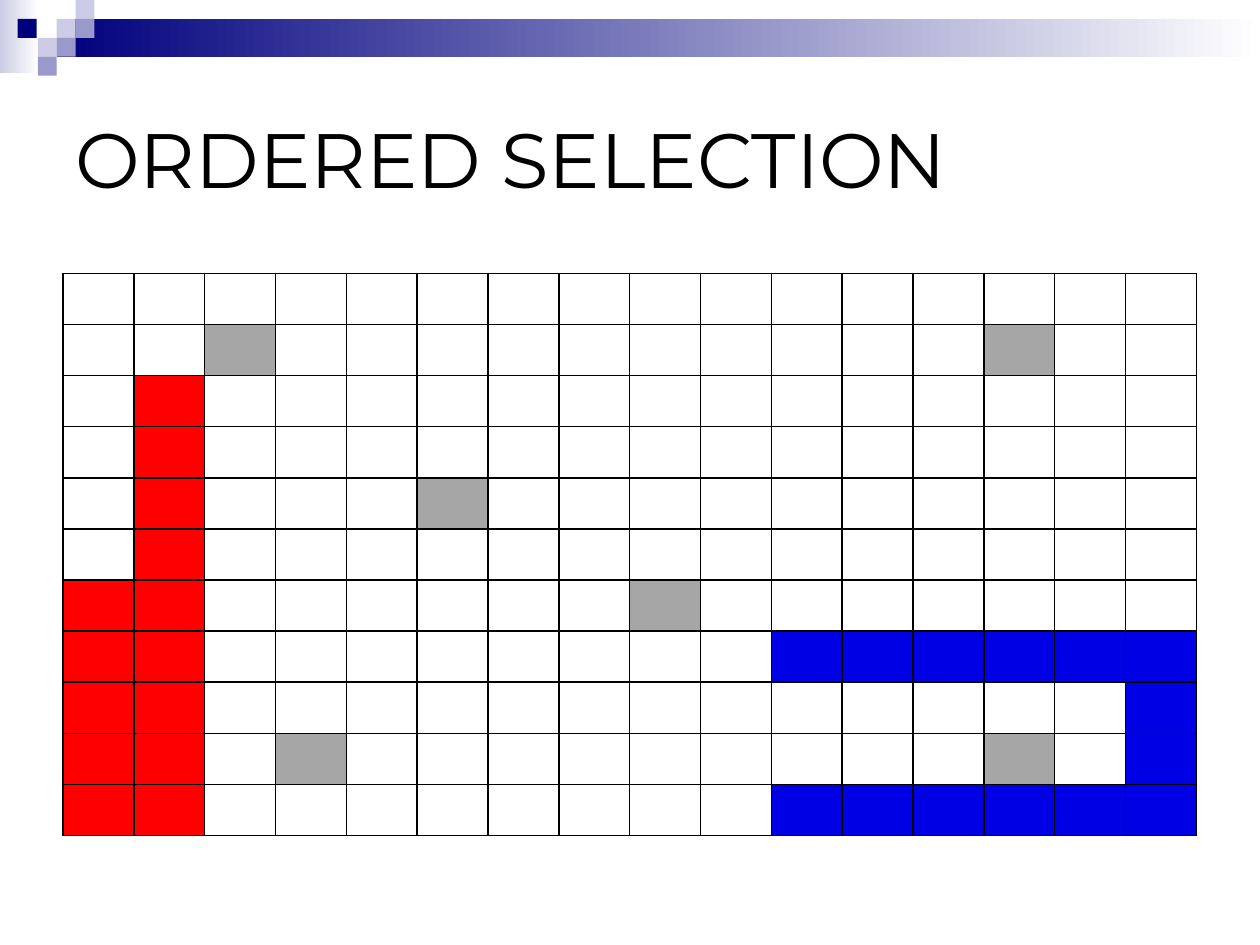
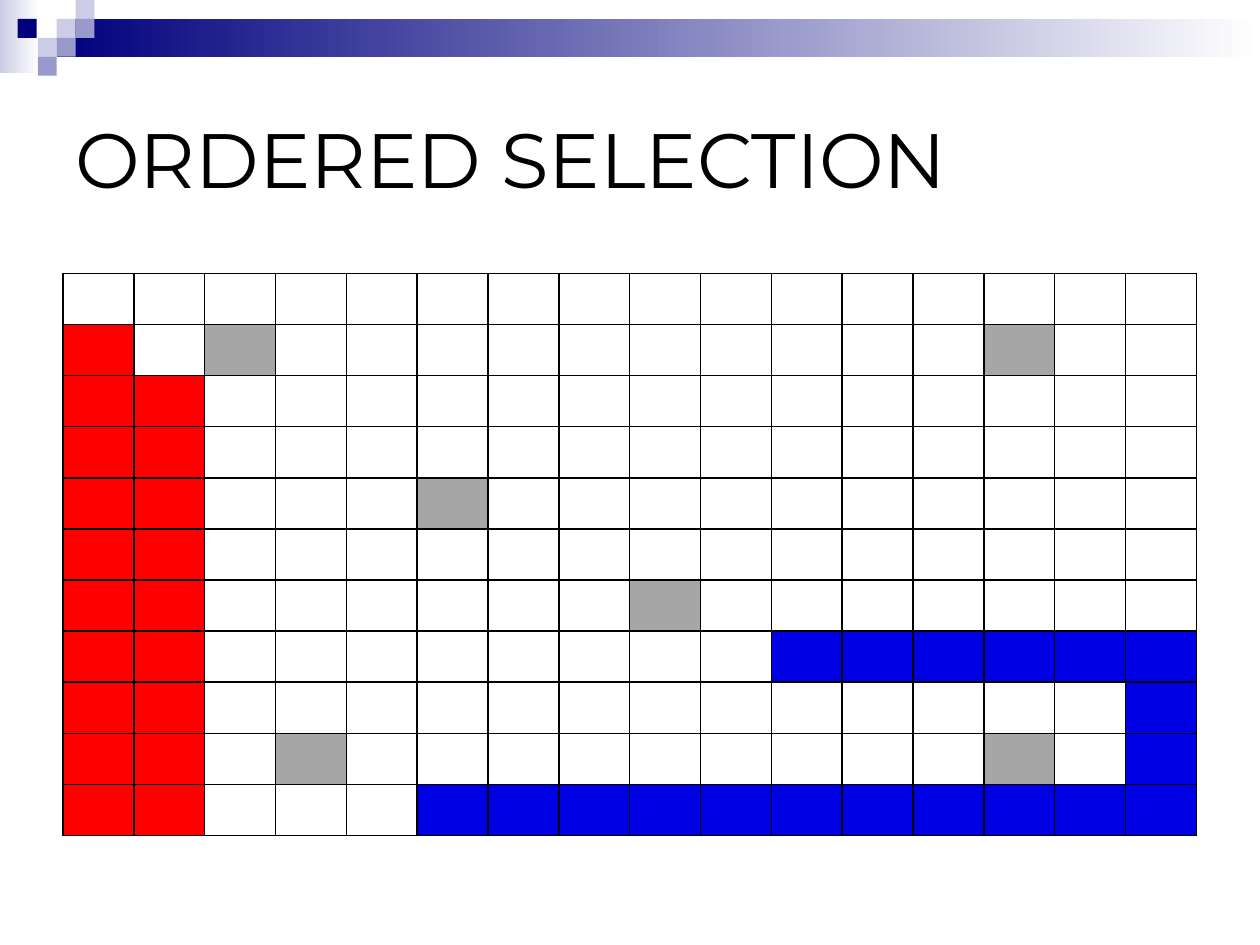
from typing import NamedTuple

from lxml import etree
from pptx import Presentation
from pptx.dml.color import RGBColor
from pptx.enum import shapes, text
from pptx.oxml import ns
from pptx.util import Pt

NAVY = RGBColor(0x00, 0x00, 0x7D)
LAVENDER = RGBColor(0xCC, 0xCC, 0xE6)
PERIWINKLE = RGBColor(0x99, 0x99, 0xCC)
WHITE = RGBColor(0xFF, 0xFF, 0xFF)
BLACK = RGBColor(0x00, 0x00, 0x00)
GREY = RGBColor(0xA6, 0xA6, 0xA6)
RED = RGBColor(0xFF, 0x00, 0x00)
BLUE = RGBColor(0x00, 0x00, 0xE4)

FONT = "Montserrat"
TITLE = "ORDERED SELECTION"
MARGIN = 36
CONTENT_WIDTH = 648
GRID_TOP = 156.24
COLUMN_WIDTH = 40.5
ROW_HEIGHT = 29.2
SQUARE = 10.8


class Block(NamedTuple):
    left: float
    top: float
    width: float
    height: float
    color: RGBColor
    fades: bool = False


def square(left: float, top: float, color: RGBColor) -> Block:
    return Block(left, top, SQUARE, SQUARE, color)


BAND = [
    Block(0, 0, 22.3, 41.8, LAVENDER, fades=True),
    Block(3 * SQUARE, SQUARE, 687.6, 21.6, NAVY, fades=True),
    square(3 * SQUARE, SQUARE, LAVENDER),
    square(4 * SQUARE, 0, LAVENDER),
    square(4 * SQUARE, SQUARE, PERIWINKLE),
    square(2 * SQUARE, 2 * SQUARE, LAVENDER),
    square(10.1, SQUARE, NAVY),
    square(3 * SQUARE, 2 * SQUARE, PERIWINKLE),
    square(2 * SQUARE, 3 * SQUARE, PERIWINKLE),
]

CELL_COLORS = {".": WHITE, "g": GREY, "r": RED, "b": BLUE}
GRIDS = [
    [
        "................",
        "..g..........g..",
        ".r..............",
        ".r..............",
        ".r...g..........",
        ".r..............",
        "rr......g.......",
        "rr........bbbbbb",
        "rr.............b",
        "rr.g.........g.b",
        "rr........bbbbbb",
    ],
    [
        "................",
        "r.g..........g..",
        "rr..............",
        "rr..............",
        "rr...g..........",
        "rr..............",
        "rr......g.......",
        "rr........bbbbbb",
        "rr.............b",
        "rr.g.........g.b",
        "rr...bbbbbbbbbbb",
    ],
]


def draw_band(page) -> None:
    group = page.shapes.add_group_shape()
    for block in BAND:
        shape = group.shapes.add_shape(
            shapes.MSO_SHAPE.RECTANGLE,
            Pt(block.left), Pt(block.top), Pt(block.width), Pt(block.height),
        )
        shape.shadow.inherit = False
        shape.line.fill.background()
        if block.fades:
            shape.fill.gradient()
            shape.fill.gradient_angle = 0
            stops = shape.fill.gradient_stops
            for stop, color, position in zip(stops, (block.color, WHITE), (0, 1)):
                stop.color.rgb = color
                stop.position = position
        else:
            shape.fill.solid()
            shape.fill.fore_color.rgb = block.color


def draw_title(page) -> None:
    box = page.shapes.add_textbox(Pt(MARGIN), Pt(36), Pt(CONTENT_WIDTH), Pt(108))
    frame = box.text_frame
    frame.word_wrap = True
    frame.vertical_anchor = text.MSO_ANCHOR.MIDDLE
    frame.text = TITLE
    font = frame.paragraphs[0].runs[0].font
    font.name = FONT
    font.size = Pt(44)
    font.color.rgb = BLACK


def add_borders(cell) -> None:
    """Outline the cell; call before filling it, as borders come first in its XML."""
    properties = cell._tc.get_or_add_tcPr()
    for side in ("lnL", "lnR", "lnT", "lnB"):
        line = etree.SubElement(properties, ns.qn(f"a:{side}"), w=str(Pt(1)))
        fill = etree.SubElement(line, ns.qn("a:solidFill"))
        etree.SubElement(fill, ns.qn("a:srgbClr"), val=str(BLACK))


def draw_grid(page, rows: list[str]) -> None:
    frame = page.shapes.add_table(
        len(rows), len(rows[0]), Pt(MARGIN), Pt(GRID_TOP),
        Pt(CONTENT_WIDTH), Pt(ROW_HEIGHT * len(rows)),
    )
    table = frame.table
    table.first_row = table.horz_banding = False
    for column in table.columns:
        column.width = Pt(COLUMN_WIDTH)
    for row_index, codes in enumerate(rows):
        table.rows[row_index].height = Pt(ROW_HEIGHT)
        for column_index, code in enumerate(codes):
            cell = table.cell(row_index, column_index)
            cell.margin_top = cell.margin_bottom = 0
            add_borders(cell)
            cell.fill.solid()
            cell.fill.fore_color.rgb = CELL_COLORS[code]


def main() -> None:
    deck = Presentation()
    deck.slide_width, deck.slide_height = Pt(720), Pt(540)
    for rows in GRIDS:
        page = deck.slides.add_slide(deck.slide_layouts[6])
        draw_band(page)
        draw_title(page)
        draw_grid(page, rows)
    deck.save("out.pptx")


if __name__ == "__main__":
    main()
